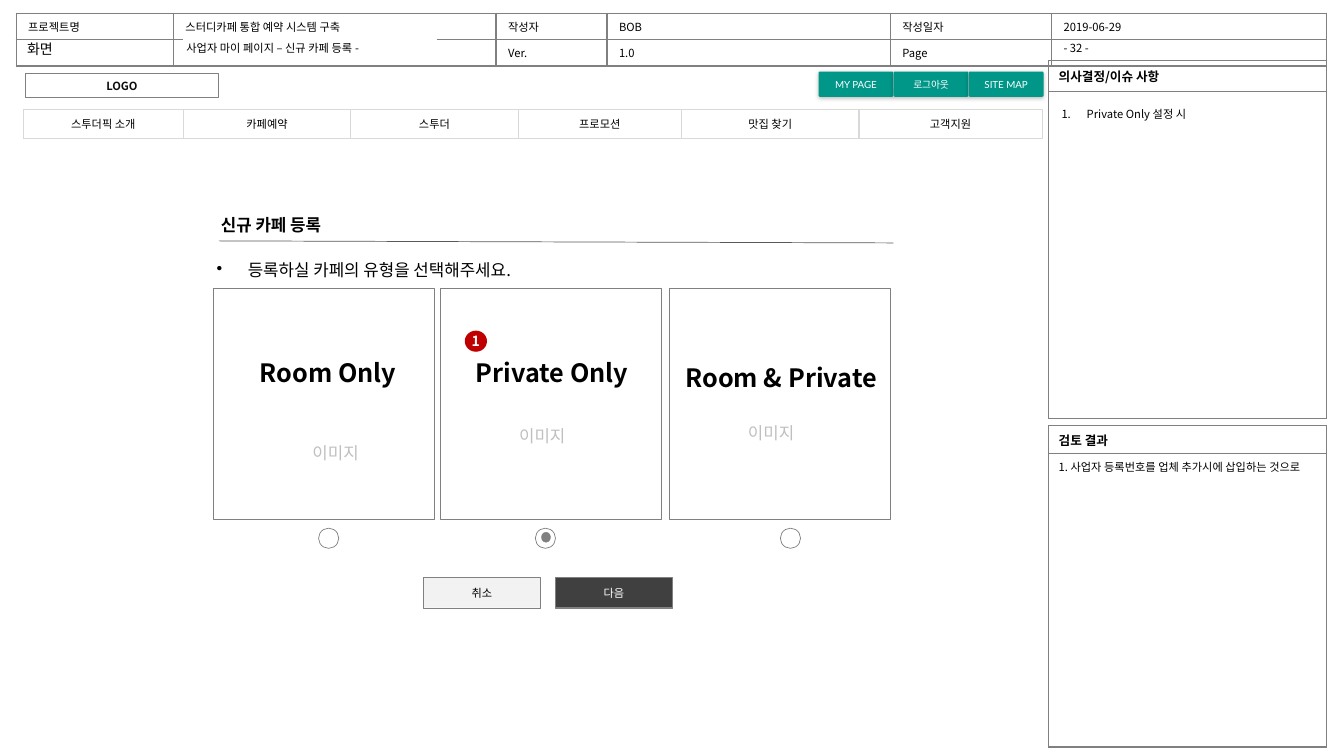
from lxml import etree
from pptx import Presentation
from pptx.dml.color import RGBColor
from pptx.enum.shapes import MSO_CONNECTOR, MSO_SHAPE
from pptx.enum.text import MSO_ANCHOR, PP_ALIGN
from pptx.oxml import parse_xml
from pptx.oxml.ns import nsdecls, qn
from pptx.util import Inches, Pt

FONT = "Noto Sans CJK KR"
RECT, OVAL, ROUNDED = MSO_SHAPE.RECTANGLE, MSO_SHAPE.OVAL, MSO_SHAPE.ROUNDED_RECTANGLE
TOP, MIDDLE = MSO_ANCHOR.TOP, MSO_ANCHOR.MIDDLE
LEFT, CENTER = PP_ALIGN.LEFT, PP_ALIGN.CENTER
COLORS = {
    "black": "000000", "white": "FFFFFF", "gray": "808080", "rule": "595959",
    "pale": "F2F2F2", "grid": "D9D9D9", "faint": "BFBFBF", "dark": "404040",
    "logo": "0D0D0D", "red": "C00000", "teal": "009688",
}


def rgb(name):
    return RGBColor.from_string(COLORS[name])


def write(frame, text, size=8, color="black", bold=False, align=LEFT, anchor=TOP, font=FONT):
    frame.text = text
    frame.vertical_anchor = anchor
    para = frame.paragraphs[0]
    para.alignment = align
    for span in para.runs:
        span.font.size = Pt(size)
        span.font.bold = bold
        span.font.color.rgb = rgb(color)
        span.font.name = font
        etree.SubElement(span.font._element, qn("a:ea"), typeface=font)


def add_text(page, area, text, **style):
    box = page.shapes.add_textbox(*map(Inches, area))
    box.text_frame.word_wrap = True
    write(box.text_frame, text, **style)
    return box


def add_bullet(box, tag, indent, **attributes):
    props = box.text_frame.paragraphs[0]._p.get_or_add_pPr()
    props.set("marL", str(Inches(indent)))
    props.set("indent", str(-Inches(indent)))
    etree.SubElement(props, qn(tag), **attributes)


def add_box(page, kind, area, fill=None, line=None, width=0.5, text=None, **style):
    shape = page.shapes.add_shape(kind, *map(Inches, area))
    shape.shadow.inherit = False
    if fill:
        shape.fill.solid()
        shape.fill.fore_color.rgb = rgb(fill)
    else:
        shape.fill.background()
    if line:
        shape.line.color.rgb = rgb(line)
        shape.line.width = Pt(width)
    else:
        shape.line.fill.background()
    if text:
        write(shape.text_frame, text, align=CENTER, anchor=MIDDLE, **style)
    return shape


def add_menu_button(page, left, text):
    button = add_box(page, ROUNDED, (left, 0.71, 0.74, 0.25), "teal",
                     text=text, size=7, color="white", font="Lato")
    button.adjustments[0] = 0.05
    frame = button.text_frame
    frame.margin_left = frame.margin_right = Inches(0.08)
    effects = button._element.spPr.find(qn("a:effectLst"))
    effects.append(parse_xml(
        f'<a:outerShdw {nsdecls("a")} blurRad="{Pt(3)}" dist="{Pt(1)}" dir="5400000">'
        '<a:srgbClr val="000000"><a:alpha val="25000"/></a:srgbClr></a:outerShdw>'))


def set_borders(cell, color):
    props = cell._tc.get_or_add_tcPr()
    for index, side in enumerate(("lnL", "lnR", "lnT", "lnB")):
        props.insert(index, parse_xml(
            f'<a:{side} {nsdecls("a")} w="{Pt(1)}"><a:solidFill>'
            f'<a:srgbClr val="{COLORS[color]}"/></a:solidFill></a:{side}>'))


def add_grid(page, left, top, columns, heights, rows, border="gray", margin=0.1, styles=None):
    """Add a bordered table; styles holds one dict of text settings per row."""
    table = page.shapes.add_table(
        len(heights), len(columns), Inches(left), Inches(top),
        Inches(sum(columns)), Inches(sum(heights))).table
    table.first_row = table.horz_banding = False
    for column, width in zip(table.columns, columns):
        column.width = Inches(width)
    for r, (row, height) in enumerate(zip(rows, heights)):
        table.rows[r].height = Inches(height)
        for c, text in enumerate(row):
            cell = table.cell(r, c)
            cell.fill.background()
            set_borders(cell, border)
            cell.margin_left = cell.margin_right = Inches(margin)
            style = dict(styles[r]) if styles else {}
            cell.vertical_anchor = style.pop("anchor", TOP)
            if text:
                write(cell.text_frame, text, anchor=None, **style)
            else:
                etree.SubElement(cell.text_frame.paragraphs[0]._p, qn("a:endParaRPr"), sz="800")


def add_header(page):
    add_grid(page, 0.16, 0.13, (1.56, 3.2, 1.1, 2.81, 1.6, 2.73), (0.24, 0.24), (
        ("프로젝트명", "스터디카페 통합 예약 시스템 구축", "작성자", "BOB", "작성일자", "2019-06-29"),
        ("", "", "Ver.", "1.0", "Page", ""),
    ), margin=0.12)
    add_box(page, RECT, (1.82, 0.38, 2.51, 0.19), "white", "white", 1)
    add_text(page, (1.75, 0.38, 2.62, 0.2), "사업자 마이 페이지 – 신규 카페 등록 -", anchor=MIDDLE)
    add_text(page, (0.17, 0.35, 0.48, 0.27), "화면", size=10).text_frame.word_wrap = False
    add_text(page, (10.45, 0.36, 1.07, 0.24), "- 32 -")


def add_side_panels(page):
    styles = ({"size": 9, "bold": True, "anchor": MIDDLE}, {})
    add_grid(page, 10.4, 0.6, (2.76,), (0.31, 3.24),
             (("의사결정/이슈 사항",), ("",)), styles=styles)
    add_grid(page, 10.4, 4.22, (2.76,), (0.28, 2.91),
             (("검토 결과",), ("1. 사업자 등록번호를 업체 추가시에 삽입하는 것으로",)), styles=styles)
    issue = add_text(page, (10.43, 1.02, 2.51, 1.34), "Private Only 설정 시")
    add_bullet(issue, "a:buAutoNum", 0.25, type="arabicPeriod")


def add_navigation(page):
    add_box(page, RECT, (0.25, 0.73, 1.92, 0.24), line="gray", width=0.75,
            text="LOGO", color="logo", bold=True)
    for index, label in enumerate(("MY PAGE", "로그아웃", "SITE MAP")):
        add_menu_button(page, 8.12 + 0.745 * index, label)
    add_grid(page, 0.23, 1.09, (1.59, 1.66, 1.66, 1.62, 1.76, 1.82), (0.28,),
             (("스투더픽 소개", "카페예약", "스투더", "프로모션", "맛집 찾기", "고객지원"),),
             border="grid", margin=0.12, styles=({"align": CENTER, "anchor": MIDDLE},))


def add_heading(page):
    title = page.shapes.title
    title.left, title.top, title.width, title.height = map(Inches, (2.09, 2.08, 1.51, 0.3))
    write(title.text_frame, "신규 카페 등록", size=12, bold=True)
    rule = page.shapes.add_connector(
        MSO_CONNECTOR.STRAIGHT, Inches(2.17), Inches(2.39), Inches(8.86), Inches(2.41))
    rule.line.color.rgb = rgb("rule")
    rule.line.width = Pt(0.5)
    etree.SubElement(rule._element.spPr, qn("a:effectLst"))
    guide = add_text(page, (2.05, 2.53, 6.76, 0.3), "등록하실 카페의 유형을 선택해주세요.", size=12)
    add_bullet(guide, "a:buChar", 0.31, char="•")


def add_cafe_type(page, left, name, name_area, image_at, radio_left):
    add_box(page, RECT, (left, 2.86, 2.19, 2.29), "white", "gray")
    add_text(page, (*name_area, 0.4), name, size=18, bold=True)
    add_text(page, (*image_at, 0.85, 0.3), "이미지", size=12, color="faint")
    add_box(page, OVAL, (radio_left, 5.24, 0.2, 0.2), "white", "gray")


def main():
    deck = Presentation()
    deck.slide_width, deck.slide_height = Inches(13.33), Inches(7.5)
    page = deck.slides.add_slide(deck.slide_layouts[5])
    add_header(page)
    add_side_panels(page)
    add_navigation(page)
    add_heading(page)
    for cafe_type in (
        (2.12, "Room Only", (2.48, 3.5, 1.65), (3, 4.34), 3.16),
        (4.37, "Private Only", (4.62, 3.5, 1.72), (5.05, 4.17), 5.31),
        (6.64, "Room & Private", (6.7, 3.55, 2.27), (7.32, 4.14), 7.74),
    ):
        add_cafe_type(page, *cafe_type)
    add_box(page, OVAL, (5.37, 5.28, 0.09, 0.1), "gray", "gray", 0.25)
    add_box(page, OVAL, (4.61, 3.28, 0.22, 0.21), "red",
            text="1", size=10, color="white", bold=True).text_frame.word_wrap = False
    for left, label, fill, color in ((4.2, "취소", "pale", "black"), (5.51, "다음", "dark", "white")):
        add_box(page, RECT, (left, 5.73, 1.16, 0.3), fill, "gray", 0.25, label, color=color)
    deck.save("out.pptx")


if __name__ == "__main__":
    main()
